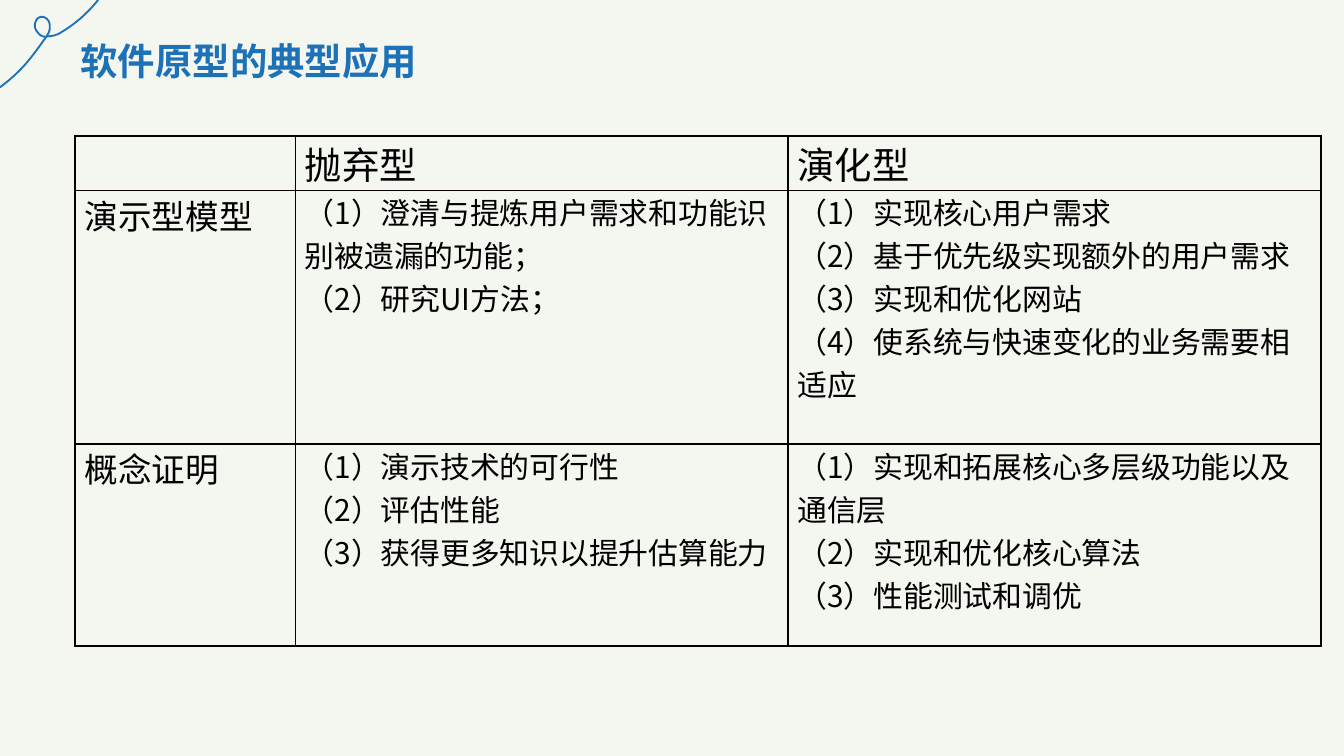
import lxml.etree
import pptx
import pptx.dml.color
import pptx.enum.text
import pptx.oxml
import pptx.oxml.ns
import pptx.util

WIDE = 10
HIGH = WIDE * 9 / 16
FONT = "Noto Sans CJK SC"
HUES = {"page": "F4F6F0", "blue": "1D71B7", "ink": "000000", "rule": "080000"}

COLS = [1.64, 3.67, 3.97]
ROWS = [0.4, 1.89, 1.51]
CELLS = [
    [[], ["抛弃型"], ["演化型"]],
    [
        ["演示型模型"],
        ["（1）澄清与提炼用户需求和功能识别被遗漏的功能；", "（2）研究UI方法；"],
        ["（1）实现核心用户需求", "（2）基于优先级实现额外的用户需求",
         "（3）实现和优化网站", "（4）使系统与快速变化的业务需要相适应"],
    ],
    [
        ["概念证明"],
        ["（1）演示技术的可行性", "（2）评估性能", "（3）获得更多知识以提升估算能力"],
        ["（1）实现和拓展核心多层级功能以及通信层", "（2）实现和优化核心算法",
         "（3）性能测试和调优"],
    ],
]

# Curl: a start point, then cubic curves (two handles and an end), in inches
START = (0.73, 0)
CURVES = [
    [(0.65, 0.1), (0.56, 0.18), (0.44, 0.25)],
    [(0.42, 0.26), (0.39, 0.27), (0.36, 0.27)],
    [(0.33, 0.28), (0.3, 0.27), (0.28, 0.24)],
    [(0.26, 0.22), (0.25, 0.19), (0.27, 0.15)],
    [(0.3, 0.1), (0.38, 0.13), (0.37, 0.21)],
    [(0.37, 0.23), (0.36, 0.25), (0.34, 0.28)],
    [(0.29, 0.35), (0.22, 0.45), (0.15, 0.52)],
    [(0.06, 0.61), (-0.04, 0.69), (-0.16, 0.74)],
]


def hue(name):
    return pptx.dml.color.RGBColor.from_string(HUES[name])


def inch(size):
    return pptx.util.Inches(size)


def style(para, size, color, bold=False):
    """Set the font of a paragraph, for Latin and East Asian text."""
    font = para.font
    font.name, font.size, font.bold = FONT, pptx.util.Pt(size), bold
    font.color.rgb = hue(color)
    props = para._p.pPr.find(pptx.oxml.ns.qn("a:defRPr"))
    lxml.etree.SubElement(props, pptx.oxml.ns.qn("a:ea"), typeface=FONT)


def trace(start, curves, steps=10):
    """Return points along a chain of cubic curves."""
    dots = [start]
    for one, two, end in curves:
        for step in range(1, steps + 1):
            t = step / steps
            u = 1 - t
            dots.append(tuple(
                u**3 * a + 3 * u * u * t * b + 3 * u * t * t * c + t**3 * d
                for a, b, c, d in zip(start, one, two, end)))
        start = end
    return dots


def add_curl(slide):
    """Draw the looped line in the top left corner."""
    dots = [(inch(x), inch(y)) for x, y in trace(START, CURVES)]
    pen = slide.shapes.build_freeform(*dots[0])
    pen.add_line_segments(dots[1:], close=False)
    curl = pen.convert_to_shape()
    curl.shadow.inherit = False
    curl.fill.background()
    curl.line.color.rgb = hue("blue")
    curl.line.width = pptx.util.Pt(1)


def add_title(slide, text, left, top, width, height):
    title = slide.shapes.title
    title.left, title.top = inch(left), inch(top)
    title.width, title.height = inch(width), inch(height)
    frame = title.text_frame
    frame.margin_left = frame.margin_right = 0
    frame.margin_top = frame.margin_bottom = 0
    frame.vertical_anchor = pptx.enum.text.MSO_ANCHOR.TOP
    frame.auto_size = pptx.enum.text.MSO_AUTO_SIZE.NONE
    frame.text = text
    para = frame.paragraphs[0]
    para.alignment = pptx.enum.text.PP_ALIGN.LEFT
    style(para, 20, "blue", True)


def frame_cell(cell):
    """Give a cell no fill and a thin rule on each side."""
    cell.fill.background()
    props = cell._tc.get_or_add_tcPr()
    for spot, side in enumerate(["lnL", "lnR", "lnT", "lnB"]):
        line = pptx.oxml.parse_xml(
            f'<a:{side} {pptx.oxml.ns.nsdecls("a")} w="12700"><a:solidFill>'
            f'<a:srgbClr val="{HUES["rule"]}"/></a:solidFill></a:{side}>')
        props.insert(spot, line)


def fill_cell(cell, lines, size):
    cell.margin_left = cell.margin_right = inch(0.07)
    cell.margin_top = cell.margin_bottom = 0
    frame_cell(cell)
    if lines:
        cell.text_frame.text = "\n".join(lines)
        for para in cell.text_frame.paragraphs:
            style(para, size, "ink")


def add_grid(slide, left, top, width, height):
    """Place the table, with columns and rows as shares of its box."""
    box = [inch(n) for n in (left, top, width, height)]
    table = slide.shapes.add_table(len(ROWS), len(COLS), *box).table
    table.first_row = table.horz_banding = False
    for col, share in zip(table.columns, COLS):
        col.width = inch(width * share / sum(COLS))
    for row, share in zip(table.rows, ROWS):
        row.height = inch(height * share / sum(ROWS))
    for r, row in enumerate(CELLS):
        for c, lines in enumerate(row):
            size = 20 if r == 0 else 18 if c == 0 else 16
            fill_cell(table.cell(r, c), lines, size)


def main():
    deck = pptx.Presentation()
    deck.slide_width, deck.slide_height = inch(WIDE), inch(HIGH)
    slide = deck.slides.add_slide(deck.slide_layouts[5])
    slide.background.fill.solid()
    slide.background.fill.fore_color.rgb = hue("page")
    add_curl(slide)
    add_title(slide, "软件原型的典型应用",
              0.06 * WIDE, 0.05 * HIGH, 0.43 * WIDE, 0.06 * HIGH)
    add_grid(slide, 0.056 * WIDE, 0.18 * HIGH, 0.927 * WIDE, 0.674 * HIGH)
    deck.save("out.pptx")


if __name__ == "__main__":
    main()
